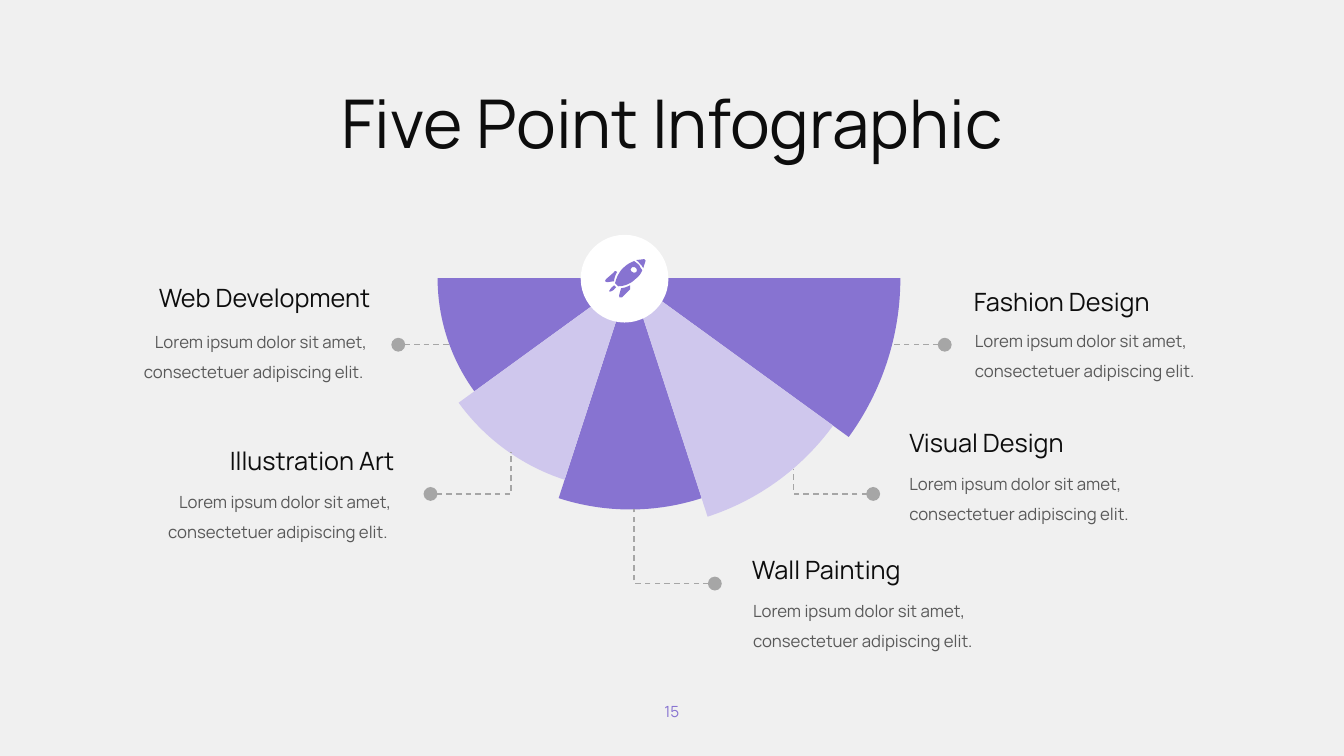
import math
import pptx
import pptx.util
import pptx.dml.color
import pptx.enum.dml
import pptx.enum.shapes
import pptx.enum.text
import pptx.oxml.ns
from lxml import etree

Inches = pptx.util.Inches
qn = pptx.oxml.ns.qn
ALIGN = pptx.enum.text.PP_ALIGN
ANCHOR = pptx.enum.text.MSO_ANCHOR

# Content
COLORS = {"back": "F0F0F0", "dark": "8773D1", "light": "CFC7ED", "line": "A6A6A6",
          "head": "0D0D0D", "body": "595959", "white": "FFFFFF"}
FONT = "Manrope"
TITLE = "Five Point Infographic"
PAGE = "15"
LOREM = "Lorem ipsum dolor sit amet, consectetuer adipiscing elit."

# Heading, its box (left, top), the body box (left, top), alignment
LABELS = [
    ("Fashion Design", (9.56, 2.79), (9.57, 3.13), ALIGN.LEFT),
    ("Visual Design", (8.92, 4.19), (8.92, 4.55), ALIGN.LEFT),
    ("Wall Painting", (7.36, 5.45), (7.37, 5.81), ALIGN.LEFT),
    ("Illustration Art", (1.56, 4.37), (1.16, 4.73), ALIGN.RIGHT),
    ("Web Development", (1.32, 2.75), (0.92, 3.14), ALIGN.RIGHT),
]

# Leader lines, each from its dot to its wedge
LEADERS = [
    [(9.37, 3.42), (8.85, 3.42)],
    [(8.66, 4.9), (7.87, 4.9), (7.87, 4.65)],
    [(7.09, 5.79), (6.29, 5.79), (6.29, 5.05)],
    [(4.27, 4.9), (5.07, 4.9), (5.07, 4.48)],
    [(3.95, 3.42), (4.48, 3.42)],
]

# Fan: apex, wedge count, first and last radius, drawing order
APEX = (6.25, 2.76)
COUNT, FIRST, LAST = 5, 1.91, 2.68
ORDER = [0, 2, 4, 1, 3]
HUB = (5.76, 2.33, 0.87, 0.87)

# Rocket outlines: a start, then lines (2 numbers) and curves (6 numbers)
ROCKET = [
    [(6.25, 2.83), (6.25, 2.85), (6.25, 2.86, 6.25, 2.87, 6.25, 2.87), (6.17, 2.95),
     (6.15, 2.96, 6.13, 2.95, 6.14, 2.93), (6.16, 2.86),
     (6.18, 2.86, 6.21, 2.85, 6.25, 2.83)],
    [(6.09, 2.83), (6.09, 2.83, 6.1, 2.84, 6.1, 2.84),
     (6.11, 2.85, 6.12, 2.85, 6.1, 2.86), (6.09, 2.88, 6.05, 2.9, 6.04, 2.89),
     (6.04, 2.89, 6.06, 2.85, 6.08, 2.84), (6.08, 2.83, 6.09, 2.83, 6.09, 2.83)],
    [(6.11, 2.69), (6.12, 2.7), (6.1, 2.73, 6.09, 2.77, 6.09, 2.79), (6.02, 2.8),
     (6, 2.8, 5.99, 2.78, 6.01, 2.77), (6.09, 2.7),
     (6.09, 2.69, 6.1, 2.69, 6.11, 2.69)],
    [(6.29, 2.65), (6.28, 2.65, 6.27, 2.65, 6.27, 2.65),
     (6.25, 2.66, 6.25, 2.68, 6.26, 2.69), (6.28, 2.71, 6.29, 2.71, 6.31, 2.7),
     (6.32, 2.69, 6.32, 2.67, 6.31, 2.66), (6.3, 2.65, 6.29, 2.65, 6.29, 2.65)],
    [(6.29, 2.59), (6.3, 2.6, 6.32, 2.61, 6.34, 2.63),
     (6.35, 2.65, 6.36, 2.67, 6.37, 2.68), (6.36, 2.71, 6.34, 2.74, 6.3, 2.77),
     (6.24, 2.83, 6.17, 2.84, 6.13, 2.84), (6.1, 2.81),
     (6.11, 2.77, 6.13, 2.7, 6.19, 2.65), (6.22, 2.62, 6.26, 2.6, 6.29, 2.59)],
    [(6.39, 2.57), (6.39, 2.57, 6.4, 2.57, 6.4, 2.58),
     (6.41, 2.58, 6.39, 2.62, 6.38, 2.66), (6.37, 2.64, 6.36, 2.63, 6.35, 2.62),
     (6.34, 2.6, 6.32, 2.59, 6.31, 2.58), (6.34, 2.58, 6.37, 2.57, 6.39, 2.57)],
]

deck = pptx.Presentation()
deck.slide_width, deck.slide_height = Inches(13.33), Inches(7.5)
slide = deck.slides.add_slide(deck.slide_layouts[6])
shapes = slide.shapes


def rgb(name):
    return pptx.dml.color.RGBColor.from_string(COLORS[name])


def paint(shape, name):
    shape.shadow.inherit = False
    shape.fill.solid()
    shape.fill.fore_color.rgb = rgb(name)
    shape.line.fill.background()


def outline(loops, close=True):
    pen = None
    for loop in loops:
        spots = [(Inches(part[n]), Inches(part[n + 1]))
                 for part in loop for n in range(0, len(part), 2)]
        if pen is None:
            pen = shapes.build_freeform(*spots[0])
        else:
            pen.move_to(*spots[0])
        pen.add_line_segments(spots[1:], close=close)
    shape = pen.convert_to_shape()
    # Join each group of three points into one curve
    track = next(shape.element.iter(qn("a:path")))
    steps = iter(track.findall(qn("a:lnTo")))
    for part in (part for loop in loops for part in loop[1:]):
        step = next(steps)
        if len(part) == 6:
            step.tag = qn("a:cubicBezTo")
            for extra in (next(steps), next(steps)):
                step.append(extra[0])
                track.remove(extra)
    return shape


def write(text, box, size, name, align, anchor=ANCHOR.TOP):
    frame = shapes.add_textbox(*map(Inches, box)).text_frame
    frame.word_wrap = True
    frame.auto_size = pptx.enum.text.MSO_AUTO_SIZE.SHAPE_TO_FIT_TEXT
    frame.vertical_anchor = anchor
    para = frame.paragraphs[0]
    para.text = text
    para.alignment = align
    para.font.name, para.font.size = FONT, pptx.util.Pt(size)
    para.font.color.rgb = rgb(name)
    return para


def lead(points):
    if len(points) == 2:
        line = shapes.add_connector(pptx.enum.shapes.MSO_CONNECTOR.STRAIGHT,
                                    *[Inches(n) for spot in points for n in spot])
        etree.SubElement(line.element.spPr, qn("a:effectLst"))
    else:
        line = outline([points], close=False)
        line.shadow.inherit = False
        line.fill.background()
    line.line.color.rgb = rgb("line")
    line.line.width = pptx.util.Pt(1)
    line.line.dash_style = pptx.enum.dml.MSO_LINE.DASH
    stroke = line.element.spPr.find(qn("a:ln"))
    etree.SubElement(stroke, qn("a:headEnd"), type="oval", w="lg", len="lg")


def wedge(i):
    radius = FIRST + i * (LAST - FIRST) / (COUNT - 1)
    sweep = math.pi / COUNT
    pull = 4 / 3 * math.tan(sweep / 4)
    rim = []
    for turn, side in ((math.pi - sweep * i, 1), (math.pi - sweep * (i + 1), -1)):
        cos, sin = radius * math.cos(turn), radius * math.sin(turn)
        end = (APEX[0] + cos, APEX[1] + sin)
        rim += [end, (end[0] + side * pull * sin, end[1] - side * pull * cos)]
    start, near, stop, far = rim
    paint(outline([[APEX, start, near + far + stop]]), "light" if i % 2 else "dark")


# Background and page number
slide.background.fill.solid()
slide.background.fill.fore_color.rgb = rgb("back")
write(PAGE, (6.2, 6.91, 0.93, 0.29), 11, "dark", ALIGN.CENTER, ANCHOR.MIDDLE)

# Fan and leader lines
for i in ORDER:
    wedge(i)
for points in LEADERS:
    lead(points)

# Labels
for head, top, low, align in LABELS:
    tail = " " if align == ALIGN.RIGHT else ""
    body = write(LOREM + tail, (*low, 2.82, 0.67), 12, "body", align)
    body.line_spacing = 1.5
    body.space_before = pptx.util.Pt(8)
    write(head, (*top, 2.45, 0.4), 18, "head", align)

# Hub with rocket
paint(shapes.add_shape(pptx.enum.shapes.MSO_SHAPE.OVAL, *map(Inches, HUB)), "white")
paint(outline(ROCKET), "dark")

# Title
write(TITLE, (0.75, 0.76, 11.83, 0.91), 48, "head", ALIGN.CENTER)

deck.save("out.pptx")
